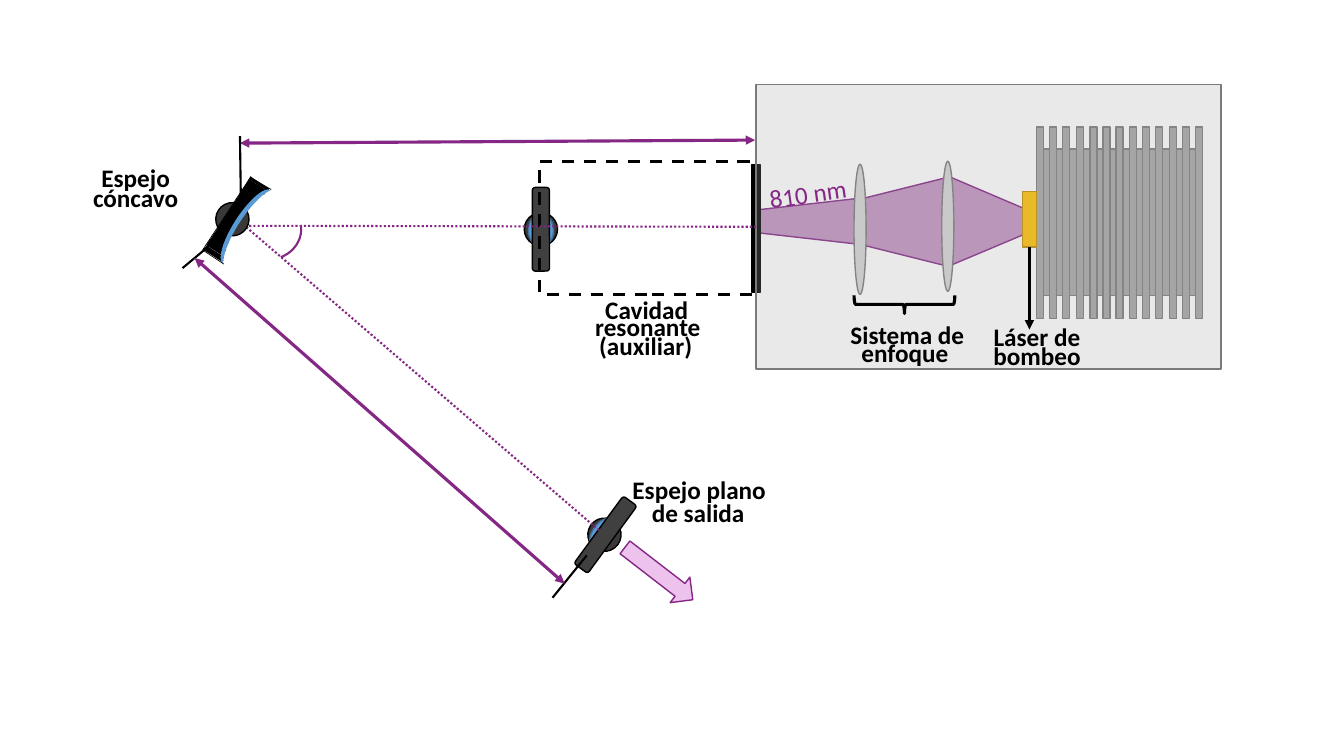
from lxml.etree import SubElement
from pptx import Presentation
from pptx.dml.color import RGBColor
from pptx.enum.dml import MSO_LINE as DASH
from pptx.enum.shapes import MSO_CONNECTOR as CONN, MSO_SHAPE as SHAPE
from pptx.enum.text import MSO_AUTO_SIZE as FIT, PP_ALIGN as ALIGN
from pptx.oxml.ns import qn
from pptx.util import Pt

PX = 9144
COLORS = {
    "beam": "852785", "pink": "DC88DC", "metal": "A5A5A5", "edge": "7A7A7A",
    "glass": "D5D5D5", "gold": "FFC000", "gold_edge": "BD8E00",
    "black": "000000", "holder": "3B3838", "slab": "404040",
    "blue": "5B9BD5", "blue_edge": "43739E",
}


def rgb(name):
    return RGBColor.from_string(COLORS[name])


def apply(target, values):
    for name, value in values.items():
        setattr(target, name, value)


class Diagram:
    font = "Calibri"
    text_size = Pt(18)

    def __init__(self, width, height):
        self.prs = Presentation()
        apply(self.prs, {"slide_width": width * PX, "slide_height": height * PX})
        self.s = self.prs.slides.add_slide(self.prs.slide_layouts[6])
        self.shapes = self.s.shapes

    def start_group(self):
        self.shapes = self.s.shapes.add_group_shape().shapes

    def end_group(self):
        self.shapes = self.s.shapes

    def stroke(self, line, color, width, dash=None):
        line.fill.solid()
        line.fill.fore_color.rgb = rgb(color)
        apply(line, {"width": Pt(width), "dash_style": dash})

    def shape(self, kind, box, fill=None, edge=None, width=1, rot=0, alpha=None,
              adj=None, dash=None):
        sp = self.shapes.add_shape(kind, *(v * PX for v in box))
        sp.shadow.inherit = False
        sp.rotation = rot
        if adj is not None:
            sp.adjustments[0] = adj
        if fill:
            sp.fill.solid()
            sp.fill.fore_color.rgb = rgb(fill)
            if alpha:
                clr = sp.fill._xPr.find(".//" + qn("a:srgbClr"))
                SubElement(clr, qn("a:alpha")).set("val", str(alpha * 1000))
        else:
            sp.fill.background()
        if edge:
            self.stroke(sp.line, edge, width, dash)
        else:
            sp.line.fill.background()
        return sp

    def line(self, start, end, color="black", width=1.5, dash=None, arrows=()):
        cx = self.shapes.add_connector(CONN.STRAIGHT, *(v * PX for v in start + end))
        self.stroke(cx.line, color, width, dash)
        for tag in arrows:
            SubElement(cx.line._get_or_add_ln(), qn("a:" + tag)).set("type", "triangle")
        SubElement(cx._element.spPr, qn("a:effectLst"))
        return cx

    def label(self, text, x, y, w, color="black", bold=True, align=ALIGN.CENTER, rot=0):
        tb = self.shapes.add_textbox(x * PX, y * PX, w * PX, 40 * PX)
        tb.rotation = rot
        tf = tb.text_frame
        apply(tf, {"word_wrap": False, "auto_size": FIT.SHAPE_TO_FIT_TEXT})
        p = tf.paragraphs[0]
        p.alignment = align
        r = p.add_run()
        r.text = text
        apply(r.font, {"name": self.font, "size": self.text_size, "bold": bold})
        r.font.color.rgb = rgb(color)

    def mount(self, holder, lens, slab, rot=0):
        self.shape(SHAPE.OVAL, holder + (33, 33), "holder", "black", rot=rot)
        self.shape(SHAPE.OVAL, lens, "blue", "blue_edge", rot=rot)
        self.shape(SHAPE.ROUNDED_RECTANGLE, slab + (17, 83), "slab", "black", rot=rot)


def draw_beam(d):
    for kind, box, rot, adj in (
        (SHAPE.ISOSCELES_TRIANGLE, (949, 167, 89, 105), 90, 0.503),
        (SHAPE.TRAPEZOID, (853, 176, 89, 88), 270, None),
        (SHAPE.TRAPEZOID, (780, 169, 46, 101), 270, None),
    ):
        d.shape(kind, box, "beam", "beam", rot=rot, alpha=50, adj=adj)
    d.shape(SHAPE.OVAL, (746, 200, 8, 49), "pink", "pink")


def draw_pump(d):
    d.shape(SHAPE.RECTANGLE, (1028, 148, 165, 145), "metal", "edge")
    for i in range(13):
        d.shape(SHAPE.RECTANGLE, (1028 + round(i * 158 / 12), 126, 7, 190), "metal", "edge")
    laser = d.shape(SHAPE.RECTANGLE, (1014, 190, 14, 55), "gold", "gold_edge")
    for x, y in ((934, 160), (847, 163)):
        d.shape(SHAPE.OVAL, (x, y, 12, 129), "glass", "edge")
    return laser


def draw_cavity(d):
    d.shape(SHAPE.RECTANGLE, (746, 163, 8, 127), "black", "black")
    d.start_group()
    d.mount((520, 211), (524, 212, 25, 33), (528, 186))
    d.end_group()
    d.shape(SHAPE.RECTANGLE, (535, 160, 214, 132), None, "black", 2.25, dash=DASH.DASH)
    return d.shape(SHAPE.RECTANGLE, (750, 84, 461, 282), "metal", "edge", alpha=24)


def draw_pump_labels(d, laser):
    d.label("810 nm", 753, 172, 98, "beam", False, ALIGN.LEFT, -8)
    d.label("Cavidad", 590, 287, 103)
    d.label("resonante", 580, 304, 125)
    d.shape(SHAPE.RIGHT_BRACE, (888, 252, 18, 100), None, "black", 2.25, rot=90)
    d.label("Sistema de", 833, 312, 134)
    d.label("enfoque", 844, 330, 107)
    pointer = d.line((1021, 245), (1021, 327), width=2.25, arrows=("tailEnd",))
    pointer.begin_connect(laser, 2)
    d.label("Láser de", 975, 314, 107)
    d.label("bombeo", 975, 333, 107)


def draw_concave_mirror(d):
    d.start_group()
    d.shape(SHAPE.OVAL, (214, 201, 33, 33), "holder", "black", rot=33)
    for box in (
        (246, 181, 22, 3), (244, 183, 21, 5), (241, 184, 17, 12), (224, 190, 15, 52),
        (208, 235, 17, 12), (205, 242, 19, 7), (202, 249, 21, 4), (200, 252, 23, 2),
    ):
        d.shape(SHAPE.RECTANGLE, box, "black", rot=33)
    d.shape(SHAPE.MOON, (233, 178, 13, 87), "blue", rot=33, adj=0.35)
    for start, end in (
        ((269, 188), (248, 176)), ((201, 248), (249, 175)), ((222, 262), (201, 248)),
    ):
        d.line(start, end, width=0.5)
    d.end_group()


def draw_arms(d, enclosure):
    d.mount((583, 514), (588, 512, 18, 33), (592, 489), 36.2)
    ray = d.line((750, 225), (231, 224), "beam", dash=DASH.ROUND_DOT)
    ray.begin_connect(enclosure, 1)
    d.line((594, 526), (238, 220), "beam", dash=DASH.ROUND_DOT)
    draw_concave_mirror(d)
    both = ("headEnd", "tailEnd")
    d.line((238, 142), (749, 139), "beam", 2.25, arrows=both)
    d.label("(auxiliar)", 584, 323, 113)
    for start, end in (
        ((238, 135), (239, 204)), ((223, 231), (181, 266)), ((582, 551), (548, 593)),
    ):
        d.line(start, end)
    d.line((193, 256), (560, 579), "beam", 2.25, arrows=both)
    d.shape(SHAPE.RIGHT_ARROW, (611, 553, 85, 32), "pink", "beam", rot=37.7, alpha=50)
    d.label("Espejo", 90, 156, 89)
    d.label("cóncavo", 82, 176, 105)
    d.label("Espejo plano", 617, 466, 153)
    d.label("de salida", 636, 488, 113)
    d.shape(SHAPE.ARC, (240, 198, 57, 61), None, "beam", 1.5, rot=69.3, adj=170.03)


def main():
    d = Diagram(1333, 750)
    draw_beam(d)
    laser = draw_pump(d)
    enclosure = draw_cavity(d)
    draw_pump_labels(d, laser)
    draw_arms(d, enclosure)
    d.prs.save("out.pptx")


if __name__ == "__main__":
    main()
